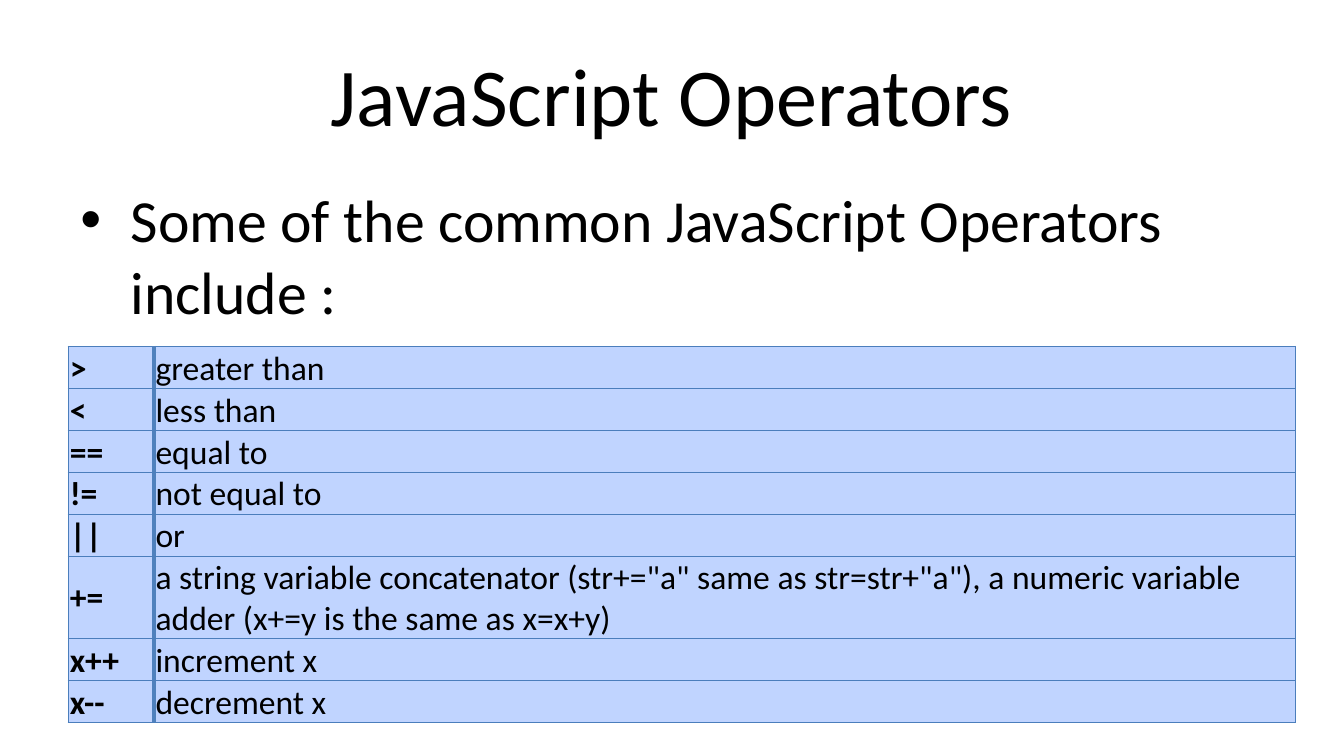
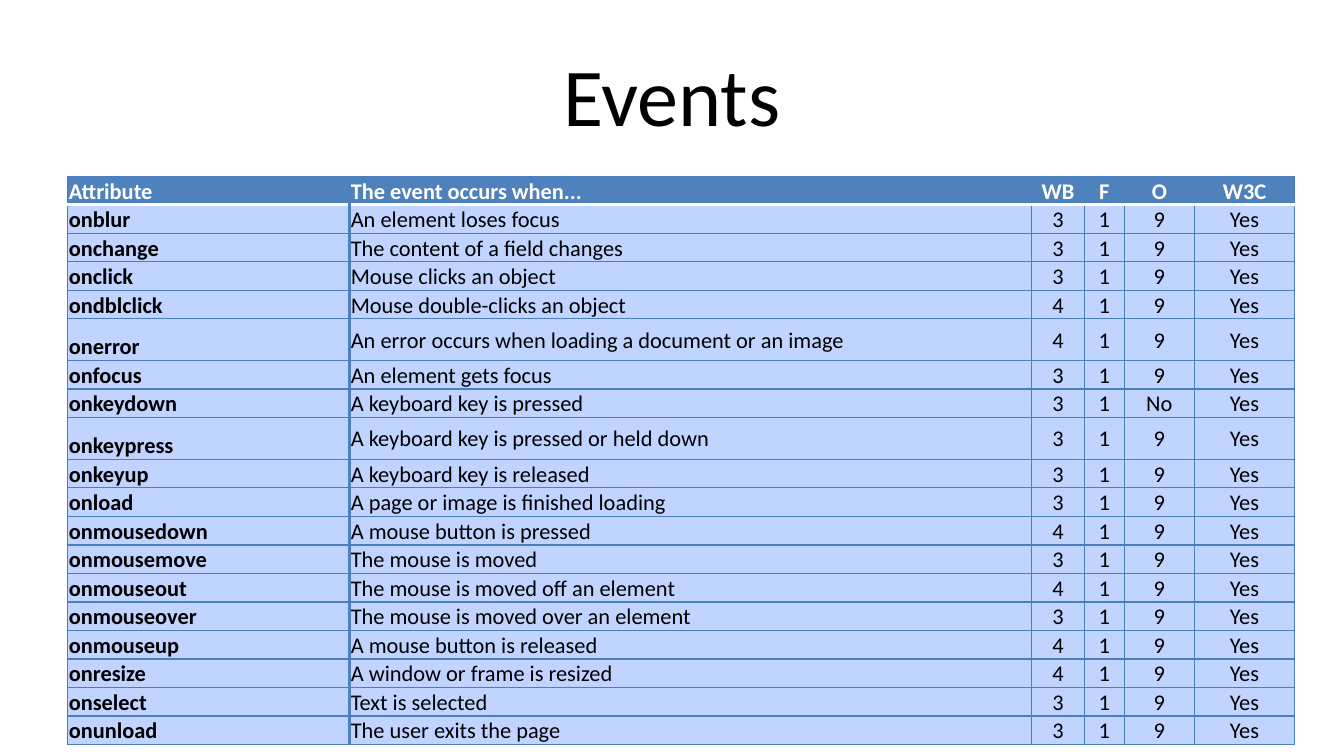
from lxml import etree
from pptx import Presentation
from pptx import util as u
from pptx.dml.color import RGBColor
from pptx.enum import text
from pptx.oxml.ns import qn

COLORS = {"ink": "000000", "white": "FFFFFF", "header": "4F81BD",
          "cell": "C0D4FF", "grid": "4B7EBC"}
FONT = "Calibri"
LEFT, CENTER = text.PP_ALIGN.LEFT, text.PP_ALIGN.CENTER
MIDDLE, BOTTOM = text.MSO_ANCHOR.MIDDLE, text.MSO_ANCHOR.BOTTOM
THIN, THICK = ("grid", 0.75), ("header", 2)
HEADER_RULE = ("white", 2)


def write(frame, words, size=18, bold=False, color="ink", align=LEFT):
    """Fill the first paragraph of a text frame and return it."""
    paragraph = frame.paragraphs[0]
    paragraph.alignment = align
    run = paragraph.add_run()
    run.text = words
    run.font.name = FONT
    run.font.size = u.Pt(size)
    run.font.bold = bold
    run.font.color.rgb = RGBColor.from_string(COLORS[color])
    return paragraph


class Deck:
    def __init__(self):
        self.prs = Presentation()
        self.prs.slide_width, self.prs.slide_height = u.Cm(25.4), u.Cm(14.29)
        self.slide = None

    def box(self, top, height):
        area = self.slide.shapes.add_textbox(
            u.Cm(1.27), u.Cm(top), u.Cm(22.86), u.Cm(height))
        area.text_frame.word_wrap = True
        return area.text_frame

    def new_slide(self, title):
        self.slide = self.prs.slides.add_slide(self.prs.slide_layouts[6])
        frame = self.box(0.58, 2.39)
        frame.vertical_anchor = MIDDLE
        write(frame, title, size=44, align=CENTER)

    def bullet(self, words):
        paragraph = write(self.box(3.33, 9.42), words, size=32)
        paragraph.space_before = u.Pt(6.4)
        props = paragraph._p.get_or_add_pPr()
        props.set("marL", str(u.Cm(0.95)))
        props.set("indent", str(-u.Cm(0.95)))
        etree.SubElement(props, qn("a:buFont"), typeface="Arial")
        etree.SubElement(props, qn("a:buChar"), char="\u2022")

    def borders(self, cell, **sides):
        props = cell._tc.get_or_add_tcPr()
        for side in "LRTB":
            color, width = sides.get(side, THIN)
            line = etree.SubElement(props, qn("a:ln" + side), w=str(u.Pt(width)))
            fill = etree.SubElement(line, qn("a:solidFill"))
            etree.SubElement(fill, qn("a:srgbClr"), val=COLORS[color])

    def table(self, rows, left, top, widths, heights, size,
              header=False, name_anchor=MIDDLE):
        """Bold names in the first column; columns from the third are centred."""
        table = self.slide.shapes.add_table(
            len(rows), len(widths), u.Cm(left), u.Cm(top),
            u.Cm(sum(widths)), u.Cm(sum(heights))).table
        table.first_row = table.horz_banding = False
        for column, width in zip(table.columns, widths):
            column.width = u.Cm(width)
        for r, (row, height) in enumerate(zip(rows, heights)):
            table.rows[r].height = u.Cm(height)
            is_header = header and r == 0
            for c, words in enumerate(row):
                cell = table.cell(r, c)
                cell.margin_left = cell.margin_right = cell.margin_top = u.Cm(0.03)
                cell.margin_bottom = 0
                is_name = c == 0 and not is_header
                cell.vertical_anchor = name_anchor if is_name else MIDDLE
                # Thick rules beside the names and below the header
                sides = {}
                if is_header:
                    sides["B"] = HEADER_RULE
                elif c < 2:
                    sides["L" if c else "R"] = THICK
                if header and r == 1 and c:
                    sides["T"] = HEADER_RULE
                self.borders(cell, **sides)
                cell.fill.solid()
                cell.fill.fore_color.rgb = RGBColor.from_string(
                    COLORS["header" if is_header else "cell"])
                write(cell.text_frame, words, size=size,
                      bold=is_header or is_name,
                      color="white" if is_header else "ink",
                      align=CENTER if c > 1 else LEFT)


deck = Deck()

# Operators
deck.new_slide("JavaScript Operators")
deck.bullet("Some of the common JavaScript Operators include :")
operators = [
    (">", "greater than"),
    ("<", "less than"),
    ("==", "equal to"),
    ("!=", "not equal to"),
    ("||", "or"),
    ("+=", 'a string variable concatenator (str+="a" same as str=str+"a"), '
           "a numeric variable adder (x+=y is the same as x=x+y)"),
    ("x++", "increment x"),
    ("x--", "decrement x"),
]
deck.table(operators, 1.29, 6.55, [1.62, 21.58],
           [1.45 if name == "+=" else 0.74 for name, _ in operators], size=18)

# Events: name, trigger, first version in the first browser
deck.new_slide("Events")
events = [
    ("onblur", "An element loses focus", 3),
    ("onchange", "The content of a field changes", 3),
    ("onclick", "Mouse clicks an object", 3),
    ("ondblclick", "Mouse double-clicks an object", 4),
    ("onerror", "An error occurs when loading a document or an image", 4),
    ("onfocus", "An element gets focus", 3),
    ("onkeydown", "A keyboard key is pressed", 3),
    ("onkeypress", "A keyboard key is pressed or held down", 3),
    ("onkeyup", "A keyboard key is released", 3),
    ("onload", "A page or image is finished loading", 3),
    ("onmousedown", "A mouse button is pressed", 4),
    ("onmousemove", "The mouse is moved", 3),
    ("onmouseout", "The mouse is moved off an element", 4),
    ("onmouseover", "The mouse is moved over an element", 3),
    ("onmouseup", "A mouse button is released", 4),
    ("onresize", "A window or frame is resized", 4),
    ("onselect", "Text is selected", 3),
    ("onunload", "The user exits the page", 3),
]
support = [("Attribute", "The event occurs when...", "WB", "F", "O", "W3C")]
for name, trigger, version in events:
    third = "No" if name == "onkeydown" else "9"
    support.append((name, trigger, str(version), "1", third, "Yes"))
tall = ("onerror", "onkeypress")
deck.table(support, 1.27, 3.33, [5.33, 12.9, 0.99, 0.76, 1.32, 1.9],
           [0.79 if row[0] in tall else 0.53 for row in support],
           size=12, header=True, name_anchor=BOTTOM)

deck.prs.save("out.pptx")
